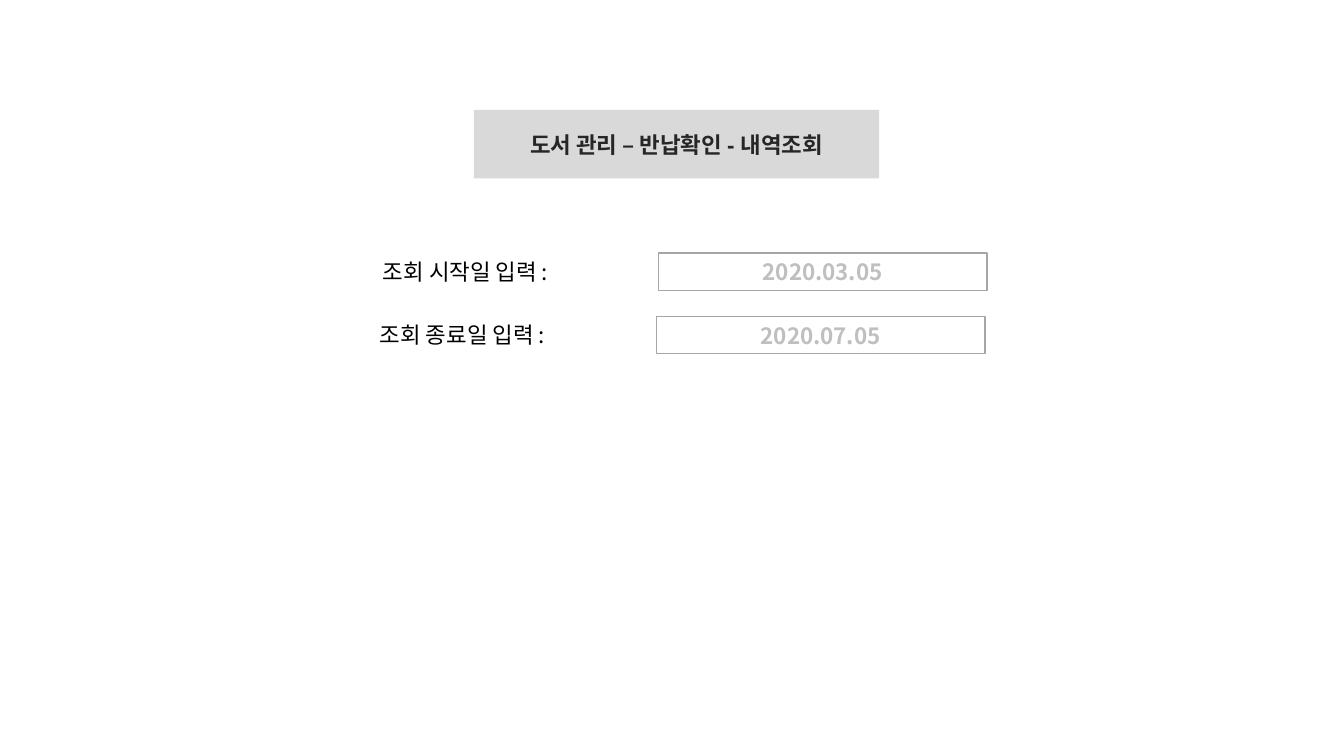
"""Builds the loan history lookup slide: a title bar and two date fields."""
from pptx import Presentation
from pptx.dml.color import RGBColor as RGB
from pptx.enum.shapes import MSO_SHAPE as Kind
from pptx.enum.text import MSO_ANCHOR as Anchor, MSO_AUTO_SIZE as Fit, PP_ALIGN as Align
from pptx.util import Inches, Pt

INK = {"bar": "D9D9D9", "title": "262626", "label": "000000",
       "field": "FFFFFF", "edge": "A6A6A6", "date": "BFBFBF"}
SANS = "Noto Sans CJK KR"


def write(shape, text, face, ink, bold=False):
    para = shape.text_frame.paragraphs[0]
    para.text = text
    font = para.font
    font.name, font.size, font.bold = face, Pt(16), bold
    font.color.rgb = RGB.from_string(INK[ink])
    return para


def add_box(shapes, area, fill, text, face, ink):
    box = shapes.add_shape(Kind.RECTANGLE, *map(Inches, area))
    box.shadow.inherit = False
    box.fill.solid()
    box.fill.fore_color.rgb = RGB.from_string(INK[fill])
    box.line.fill.background()
    box.text_frame.vertical_anchor = Anchor.MIDDLE
    write(box, text, face, ink, True).alignment = Align.CENTER
    return box


deck = Presentation()
deck.slide_width, deck.slide_height = Inches(13.33), Inches(7.5)
slide = deck.slides.add_slide(deck.slide_layouts[6])

add_box(slide.shapes, (4.7, 1.09, 4.02, 0.68), "bar",
        "도서 관리 – 반납확인 - 내역조회", "Arial", "title")

top, step, high = 2.51, 0.63, 0.37
rows = [("조회 시작일 입력 :", "2020.03.05", 3.7, 6.53),
        ("조회 종료일 입력 :", "2020.07.05", 3.67, 6.51)]
for i, (name, date, left, field) in enumerate(rows):
    y = top + i * step
    group = slide.shapes.add_group_shape().shapes
    label = group.add_textbox(*map(Inches, (left, y, 2.14, high)))
    label.text_frame.word_wrap = False
    label.text_frame.auto_size = Fit.SHAPE_TO_FIT_TEXT
    write(label, name, SANS, "label")
    box = add_box(group, (field, y, 3.26, high), "field", date, SANS, "date")
    box.line.color.rgb = RGB.from_string(INK["edge"])
    box.line.width = Pt(1)

deck.save("out.pptx")
